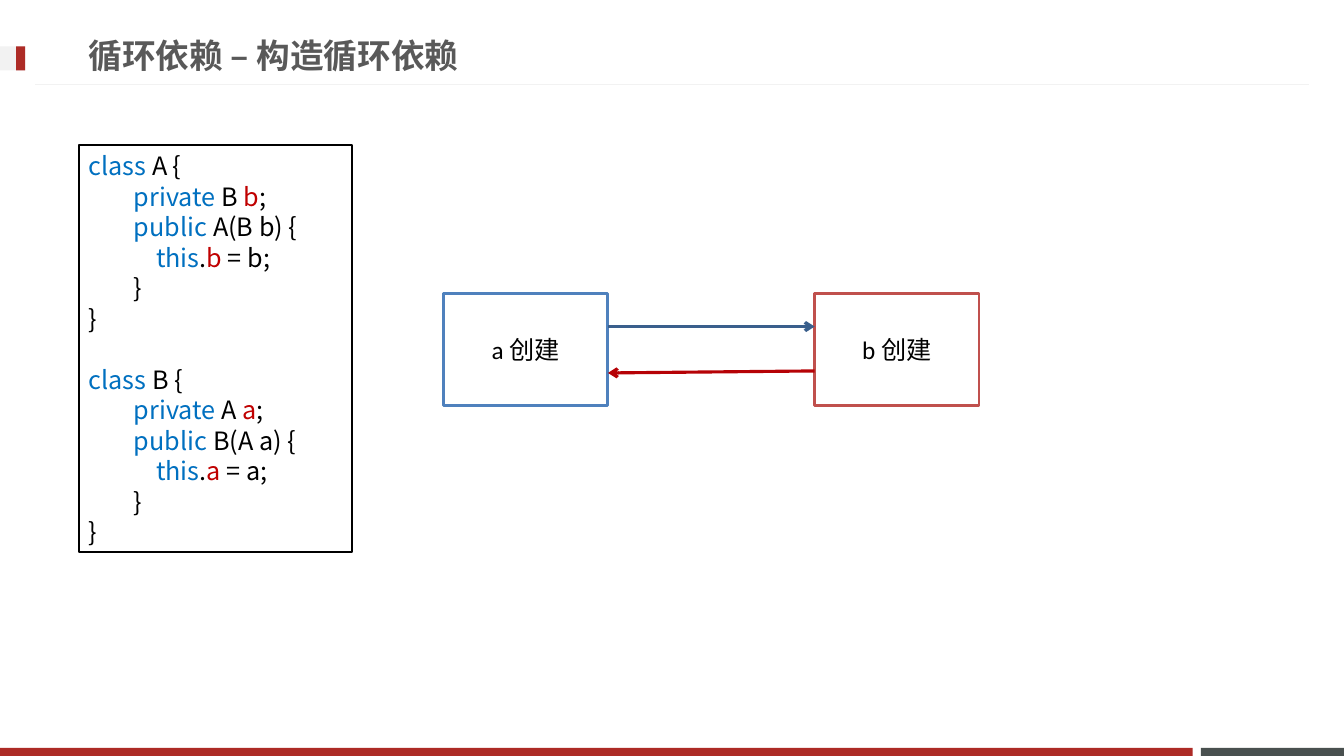
from pptx import Presentation
from pptx.util import Inches, Pt
from pptx.dml.color import RGBColor
from pptx.enum import shapes, text
from pptx.oxml.ns import qn
from lxml import etree

RED = RGBColor(0xAD, 0x2B, 0x26)
SLATE = RGBColor(0x49, 0x50, 0x4F)
PALE = RGBColor(0xF2, 0xF2, 0xF2)
GREY = RGBColor(0x59, 0x59, 0x59)
WHITE = RGBColor(0xFF, 0xFF, 0xFF)
BLACK = RGBColor(0, 0, 0)
BLUE = RGBColor(0x4F, 0x81, 0xBD)
ROSE = RGBColor(0xC0, 0x50, 0x4D)
NAVY = RGBColor(0x3A, 0x5F, 0x8C)
CRIMSON = RGBColor(0xB6, 0x02, 0x06)
KEYWORD = RGBColor(0x00, 0x70, 0xC0)
FIELD = RGBColor(0xC0, 0x00, 0x00)

deck = Presentation()
deck.slide_width, deck.slide_height = Inches(13.33), Inches(7.5)
slide = deck.slides.add_slide(deck.slide_layouts[5])


def add_box(left, top, width, height, fill=None, line=None, weight=2):
    box = slide.shapes.add_shape(
        shapes.MSO_SHAPE.RECTANGLE,
        Inches(left), Inches(top), Inches(width), Inches(height))
    box.shadow.inherit = False
    if fill is None:
        box.fill.background()
    else:
        box.fill.solid()
        box.fill.fore_color.rgb = fill
    if line is None:
        box.line.fill.background()
    else:
        box.line.color.rgb = line
        box.line.width = Pt(weight)
    return box


def add_line(x1, y1, x2, y2, color, weight, arrow=False):
    line = slide.shapes.add_connector(
        shapes.MSO_CONNECTOR.STRAIGHT,
        Inches(x1), Inches(y1), Inches(x2), Inches(y2))
    line.line.color.rgb = color
    line.line.width = Pt(weight)
    if arrow:
        etree.SubElement(line.line._get_or_add_ln(), qn("a:tailEnd"), type="arrow")
    etree.SubElement(line._element.spPr, qn("a:effectLst"))


# Footer bars, header rule and header marker
add_box(11.91, 7.42, 1.42, 0.08, SLATE)
add_box(0, 7.42, 11.83, 0.08, RED)
add_line(12.98, 0.84, 0.35, 0.84, PALE, 0.75)
add_box(0, 0.46, 0.25, 0.24, PALE)
add_box(0.16, 0.46, 0.09, 0.24, RED)

# Title
title = slide.shapes.title
title.left, title.top = Inches(0.78), Inches(0.26)
title.width, title.height = Inches(9.59), Inches(0.57)
title.text_frame.vertical_anchor = text.MSO_ANCHOR.MIDDLE
para = title.text_frame.paragraphs[0]
para.alignment = text.PP_ALIGN.LEFT
run = para.add_run()
run.text = "循环依赖 – 构造循环依赖"
run.font.name, run.font.size, run.font.bold = "Arial", Pt(24), True
run.font.color.rgb = GREY

# Creation steps
for left, name, color in ((4.4, "a", BLUE), (8.08, "b", ROSE)):
    step = add_box(left, 2.91, 1.63, 1.11, WHITE, color)
    step.text_frame.vertical_anchor = text.MSO_ANCHOR.MIDDLE
    para = step.text_frame.paragraphs[0]
    para.alignment = text.PP_ALIGN.CENTER
    run = para.add_run()
    run.text = name + " 创建"
    run.font.name, run.font.size = "Calibri", Pt(18)
    run.font.color.rgb = BLACK

# Mutual dependency arrows
add_line(6.03, 3.24, 8.08, 3.24, NAVY, 2.25, arrow=True)
add_line(8.08, 3.68, 6.03, 3.7, CRIMSON, 2.25, arrow=True)

# Code listing: each line is an indent and its coloured runs
code = add_box(0.78, 1.44, 2.71, 4.04, line=BLACK, weight=1.5)
frame = code.text_frame
frame.word_wrap = True
frame.vertical_anchor = text.MSO_ANCHOR.TOP
pitch = Pt(21.8)
para = frame.paragraphs[0]
for own, other, field in (("A", "B", "b"), ("B", "A", "a")):
    lines = (
        (0, ("class", KEYWORD), (f" {own} {{", BLACK)),
        (0.45, ("private", KEYWORD), (f" {other} ", BLACK), (field, FIELD), (";", BLACK)),
        (0.45, ("public", KEYWORD), (f" {own}({other} {field}) {{", BLACK)),
        (0.67, ("this", KEYWORD), (".", BLACK), (field, FIELD), (f" = {field};", BLACK)),
        (0.45, ("}", BLACK)),
        (0, ("}", BLACK)),
    )
    for row, (indent, *parts) in enumerate(lines):
        if para.runs:
            para = frame.add_paragraph()
            if row == 0:
                para.space_before = pitch
        para.alignment = text.PP_ALIGN.LEFT
        para.line_spacing = pitch
        para._p.get_or_add_pPr().set("marL", str(Inches(indent)))
        for words, color in parts:
            run = para.add_run()
            run.text = words
            run.font.name, run.font.size = "Noto Sans CJK JP", Pt(18)
            run.font.color.rgb = color

deck.save("out.pptx")
